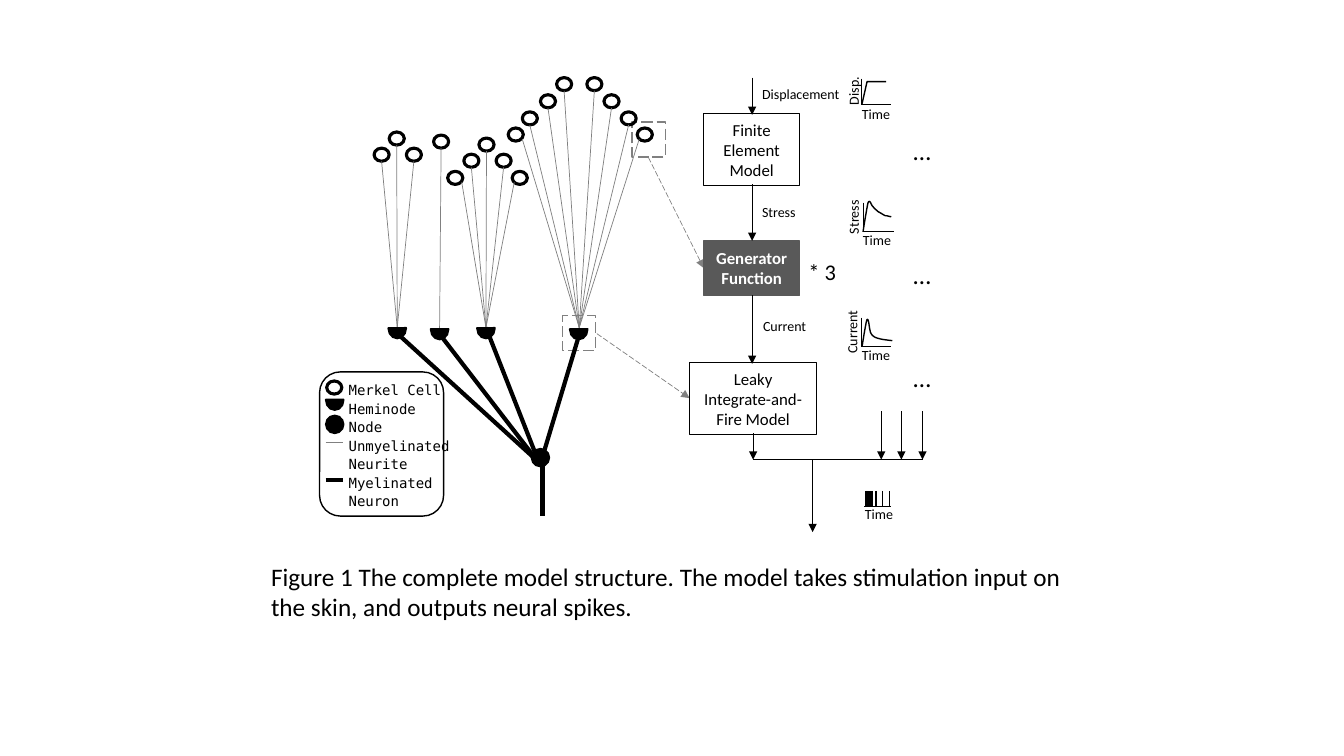
from lxml import etree
from pptx import Presentation
from pptx.dml.color import RGBColor
from pptx.enum.dml import MSO_LINE
from pptx.enum.shapes import MSO_CONNECTOR, MSO_SHAPE
from pptx.enum.text import MSO_ANCHOR, PP_ALIGN
from pptx.oxml.ns import qn
from pptx.util import Inches, Pt

BLACK = RGBColor(0, 0, 0)
WHITE = RGBColor(255, 255, 255)
GRAY = RGBColor(0x80, 0x80, 0x80)
DARK_GRAY = RGBColor(0x59, 0x59, 0x59)
SANS = "Calibri"
MONO = "DejaVu Sans Mono"
CELL_W, CELL_H = 0.15, 0.13
NODE_SIZE = 0.18

CLUSTERS = [
    {"cells": [(5.04, 1.27), (5.18, 1.11), (5.36, 0.94), (5.52, 0.77),
               (5.82, 0.77), (5.99, 0.94), (6.16, 1.11), (6.32, 1.27)],
     "hub": (5.745, 3.25), "heminode": (5.65, 3.17), "neuron": ((5.73, 3.37), (5.36, 4.6))},
    {"cells": [(4.44, 1.7), (4.6, 1.53), (4.75, 1.37), (4.92, 1.53), (5.08, 1.7)],
     "hub": (4.82, 3.25), "heminode": (4.73, 3.16), "neuron": ((4.82, 3.25), (5.35, 4.6))},
    {"cells": [(3.71, 1.47), (3.86, 1.31), (4.03, 1.47)],
     "hub": (3.94, 3.25), "heminode": (3.85, 3.16), "neuron": ((3.92, 3.29), (5.36, 4.6))},
    {"cells": [(4.3, 1.34)],
     "hub": (4.36, 3.26), "heminode": (4.27, 3.17), "neuron": ((4.38, 3.34), (5.35, 4.6))},
]

STRESS_CURVE = [(8.56, 2.3), (8.58, 2.17), (8.6, 2.05), (8.61, 2.01), (8.63, 1.97),
                (8.64, 2.04), (8.66, 2.05), (8.67, 2.07), (8.69, 2.08), (8.71, 2.1),
                (8.73, 2.11), (8.76, 2.13), (8.78, 2.14), (8.81, 2.14), (8.82, 2.15),
                (8.84, 2.15)]
CURRENT_CURVE = [(8.55, 3.44), (8.57, 3.32), (8.59, 3.19), (8.6, 3.17), (8.62, 3.15),
                 (8.62, 3.28), (8.64, 3.31), (8.66, 3.34), (8.68, 3.35), (8.72, 3.36),
                 (8.75, 3.37), (8.85, 3.38), (8.85, 3.38)]


def write(shape, lines, size, font=SANS, color=BLACK, bold=False, align=PP_ALIGN.LEFT,
          spacing=None, wrap=True):
    frame = shape.text_frame
    frame.word_wrap = wrap
    for index, line in enumerate(lines):
        paragraph = frame.add_paragraph() if index else frame.paragraphs[0]
        paragraph.alignment = align
        paragraph.line_spacing = spacing
        run = paragraph.add_run()
        run.text = line
        run.font.name, run.font.size = font, Pt(size)
        run.font.bold, run.font.color.rgb = bold, color


def add_label(shapes, box, text, size=10, rotation=0, **style):
    label = shapes.add_textbox(*map(Inches, box))
    label.rotation = rotation
    write(label, text.split("\n"), size, **style)


def add_preset(shapes, kind, box, line=BLACK, width=1, fill=None, dash=None):
    shape = shapes.add_shape(kind, *map(Inches, box))
    shape.shadow.inherit = False
    if fill is None:
        shape.fill.background()
    else:
        shape.fill.solid()
        shape.fill.fore_color.rgb = fill
    shape.line.color.rgb, shape.line.width = line, Pt(width)
    if dash:
        shape.line.dash_style = dash
    return shape


def add_line(shapes, start, end, color=BLACK, width=0.5, arrow=False, dash=None):
    line = shapes.add_connector(MSO_CONNECTOR.STRAIGHT, *map(Inches, (*start, *end)))
    line.line.color.rgb, line.line.width = color, Pt(width)
    if dash:
        line.line.dash_style = dash
    properties = line._element.spPr
    if arrow:
        etree.SubElement(properties.find(qn("a:ln")), qn("a:tailEnd"), type="triangle")
    etree.SubElement(properties, qn("a:effectLst"))


def add_cell(shapes, x, y):
    add_preset(shapes, MSO_SHAPE.OVAL, (x, y, CELL_W, CELL_H), width=2.25)


def add_heminode(shapes, x, y):
    chord = add_preset(shapes, MSO_SHAPE.CHORD, (x, y, 0.18, 0.2), fill=BLACK)
    chord.adjustments[0], chord.adjustments[1] = 212.75, 110.81


def add_node(shapes, x, y):
    add_preset(shapes, MSO_SHAPE.OVAL, (x, y, NODE_SIZE, NODE_SIZE), fill=BLACK)


def add_cluster(shapes, cells, hub, heminode, neuron):
    wide = len(cells) > 3
    for index, (x, y) in enumerate(cells):
        dx, dy = CELL_W / 2, CELL_H
        if wide and index == 0:
            dx, dy = 0.14, 0.11
        elif wide and index == len(cells) - 1:
            dx, dy = 0.02, 0.11
        add_cell(shapes, x, y)
        add_line(shapes, (x + dx, y + dy), hub, GRAY)
    add_line(shapes, *neuron, width=3)
    add_heminode(shapes, *heminode)


def add_model(shapes, box, text, **style):
    model = add_preset(shapes, MSO_SHAPE.RECTANGLE, box, **style)
    model.text_frame.vertical_anchor = MSO_ANCHOR.MIDDLE
    filled = "fill" in style
    write(model, [text], 12, color=WHITE if filled else BLACK, bold=filled,
          align=PP_ALIGN.CENTER)


def bezier(points, steps=8):
    path = [points[0]]
    for first in range(0, len(points) - 1, 3):
        a, b, c, d = points[first:first + 4]
        for step in range(1, steps + 1):
            t = step / steps
            u = 1 - t
            path.append(tuple(u**3 * p + 3 * u * u * t * q + 3 * u * t * t * r + t**3 * s
                              for p, q, r, s in zip(a, b, c, d)))
    return path


def add_curve(shapes, path):
    (start_x, start_y), *rest = [(Inches(x), Inches(y)) for x, y in path]
    builder = shapes.build_freeform(start_x, start_y)
    builder.add_line_segments(rest, close=False)
    curve = builder.convert_to_shape()
    curve.shadow.inherit = False
    curve.fill.background()
    curve.line.color.rgb, curve.line.width = BLACK, Pt(1)


def add_plot(shapes, origin, top, right, name, name_box, time_box, path):
    x, bottom = origin
    add_curve(shapes, path)
    add_line(shapes, (x, top), origin)
    add_line(shapes, origin, (right, bottom))
    add_label(shapes, time_box, "Time")
    add_label(shapes, name_box, name, rotation=270)


def add_legend(shapes):
    add_label(shapes, (3.36, 3.72, 1.63, 1.4),
              "Merkel Cell\nHeminode\nNode\nUnmyelinated\nNeurite\nMyelinated\nNeuron",
              font=MONO, spacing=1.1)
    add_preset(shapes, MSO_SHAPE.ROUNDED_RECTANGLE, (3.17, 3.69, 1.23, 1.43))
    add_cell(shapes, 3.24, 3.78)
    add_heminode(shapes, 3.23, 3.87)
    add_node(shapes, 3.23, 4.12)
    add_line(shapes, (3.23, 4.39), (3.4, 4.39), GRAY)
    add_line(shapes, (3.23, 4.76), (3.4, 4.76), width=3)


def add_neuron(shapes):
    for x, y in [(6.27, 1.21), (5.58, 3.13)]:
        add_preset(shapes, MSO_SHAPE.RECTANGLE, (x, y, 0.33, 0.35), GRAY, dash=MSO_LINE.LONG_DASH)
    for start, end in [((6.43, 1.56), (6.98, 2.66)), ((5.92, 3.31), (6.84, 3.95))]:
        add_line(shapes, start, end, GRAY, arrow=True, dash=MSO_LINE.LONG_DASH)
    add_line(shapes, (5.38, 4.6), (5.38, 5.12), width=3)
    for cluster in CLUSTERS:
        add_cluster(shapes, **cluster)
    add_node(shapes, 5.27, 4.45)


def add_flow(shapes):
    add_model(shapes, (6.98, 1.13, 0.95, 0.71), "Finite Element Model", width=0.75)
    add_model(shapes, (6.98, 2.39, 0.95, 0.54), "Generator Function", line=DARK_GRAY, fill=DARK_GRAY)
    add_model(shapes, (6.84, 3.6, 1.26, 0.71), "Leaky Integrate-and-Fire Model", width=0.75)
    for x, top, bottom in [(7.46, 0.77, 1.14), (7.46, 1.83, 2.39), (7.46, 2.93, 3.61),
                           (7.47, 4.3, 4.56), (8.74, 4.08, 4.56), (8.94, 4.08, 4.56),
                           (9.15, 4.08, 4.56), (8.06, 4.56, 5.28)]:
        add_line(shapes, (x, top), (x, bottom), arrow=True)
    add_line(shapes, (7.47, 4.56), (9.15, 4.56))
    for box, text in [((7.46, 0.8, 0.98, 0.27), "Displacement"),
                      ((7.46, 1.97, 0.54, 0.27), "Stress"),
                      ((7.47, 3.1, 0.64, 0.27), "Current")]:
        add_label(shapes, box, text, wrap=False)
    add_label(shapes, (7.92, 2.51, 0.48, 0.37), "* 3", 16, wrap=False)
    for y in (1.29, 2.52, 3.55):
        add_label(shapes, (8.96, y, 0.38, 0.4), "…", 18, wrap=False)


def add_plots(shapes):
    add_plot(shapes, (8.54, 1.04), 0.78, 8.84, "Disp.", (8.18, 0.72, 0.57, 0.27),
             (8.45, 1, 0.57, 0.27), [(8.55, 1.03), (8.6, 0.81), (8.79, 0.81)])
    add_plot(shapes, (8.56, 2.3), 2.01, 8.87, "Stress", (8.16, 1.96, 0.63, 0.29),
             (8.46, 2.25, 0.62, 0.3), bezier(STRESS_CURVE))
    add_plot(shapes, (8.54, 3.44), 3.15, 8.84, "Current", (8.11, 3.13, 0.68, 0.27),
             (8.45, 3.39, 0.57, 0.3), bezier(CURRENT_CURVE))
    for x in (8.59, 8.6, 8.61, 8.63, 8.65, 8.69, 8.75, 8.82):
        add_line(shapes, (x, 4.87), (x, 5.02), width=1)
    add_line(shapes, (8.57, 5.02), (8.84, 5.02))
    add_label(shapes, (8.48, 4.97, 0.62, 0.3), "Time")


def main():
    deck = Presentation()
    deck.slide_width, deck.slide_height = Inches(13.33), Inches(7.5)
    slide = deck.slides.add_slide(deck.slide_layouts[6])
    add_label(slide.shapes, (2.59, 5.52, 8.42, 0.71),
              "Figure 1 The complete model structure. The model takes stimulation input on "
              "the skin, and outputs neural spikes.", 18)
    figure = slide.shapes.add_group_shape().shapes
    add_neuron(figure)
    add_legend(figure)
    add_flow(figure)
    add_plots(figure)
    deck.save("out.pptx")


main()
